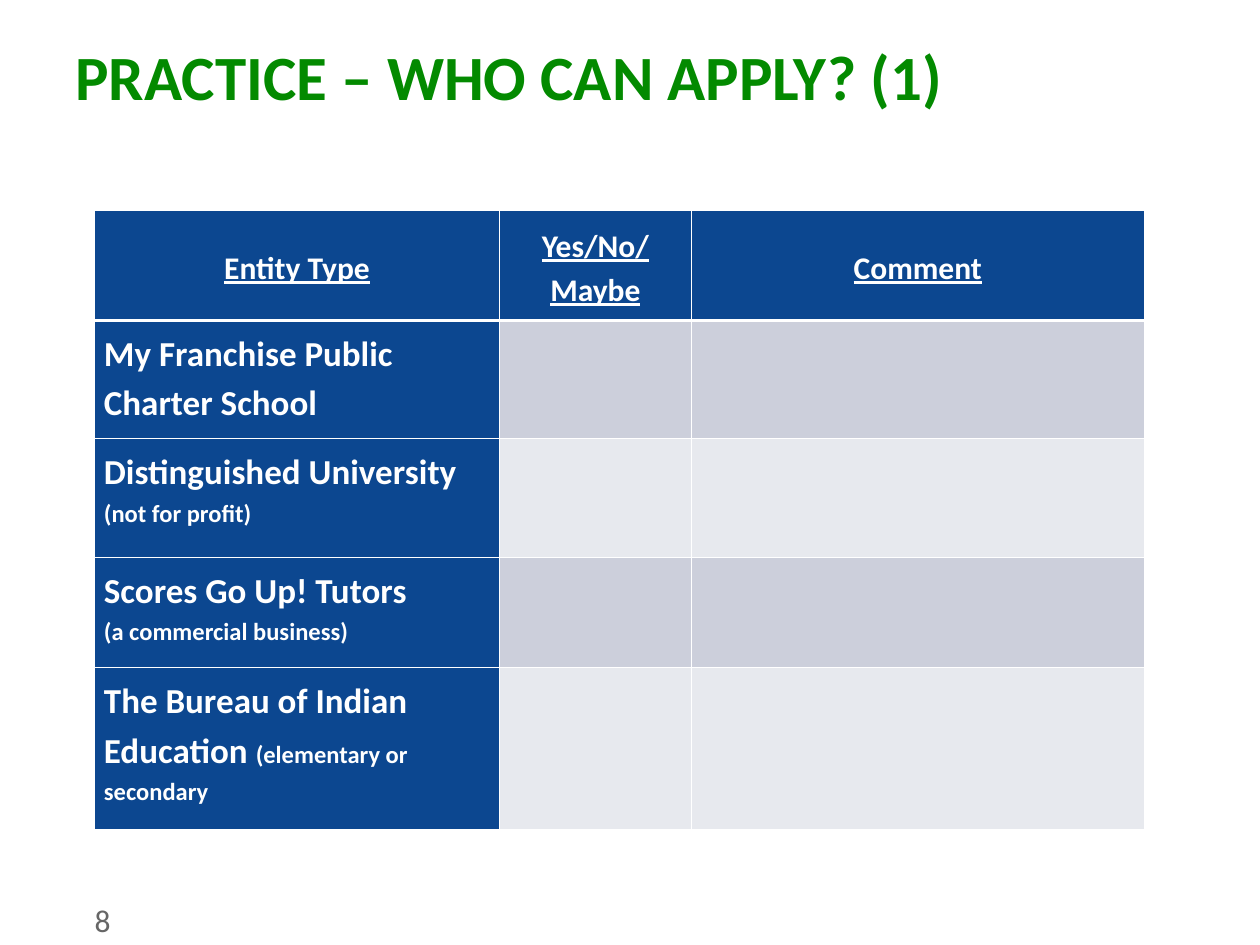
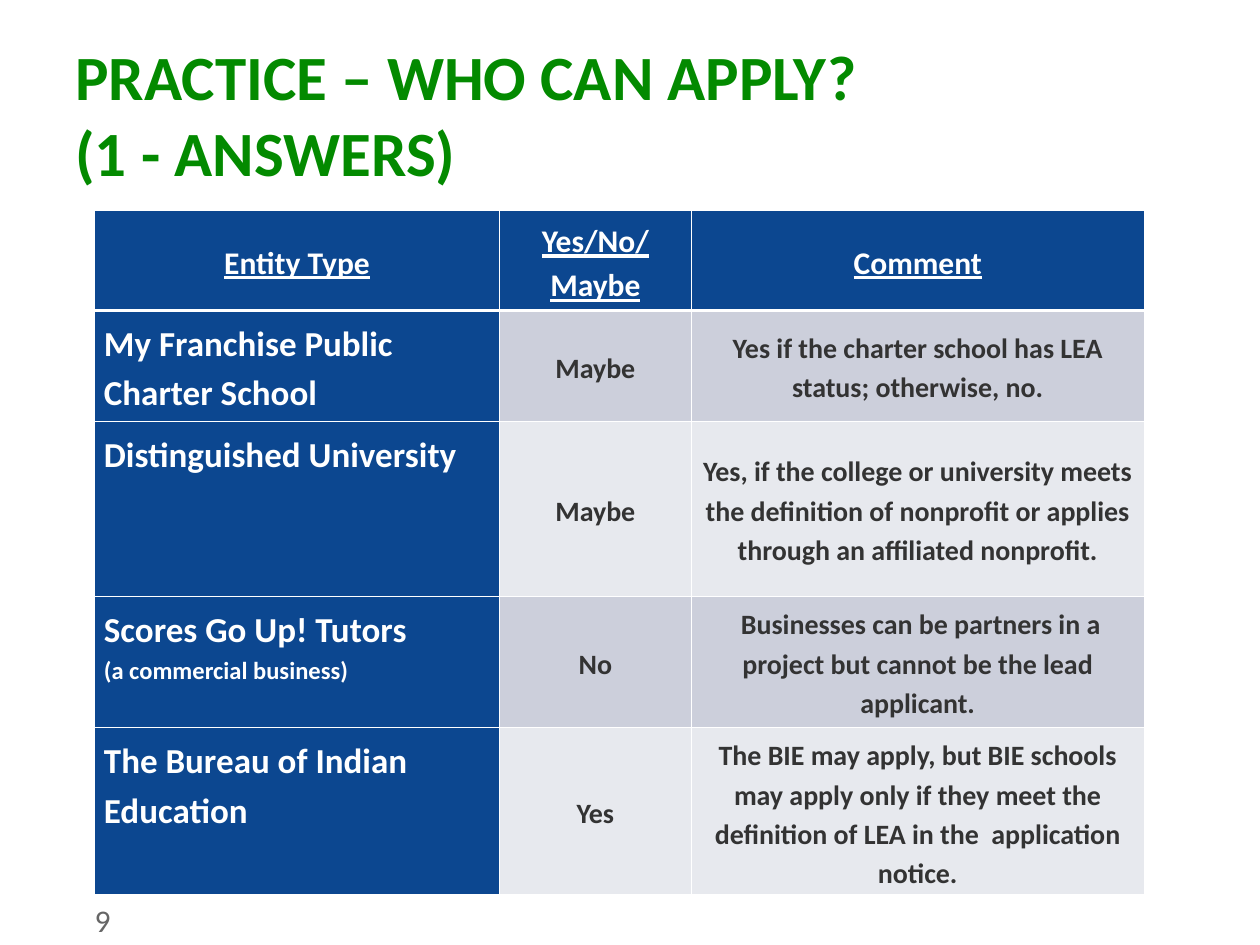
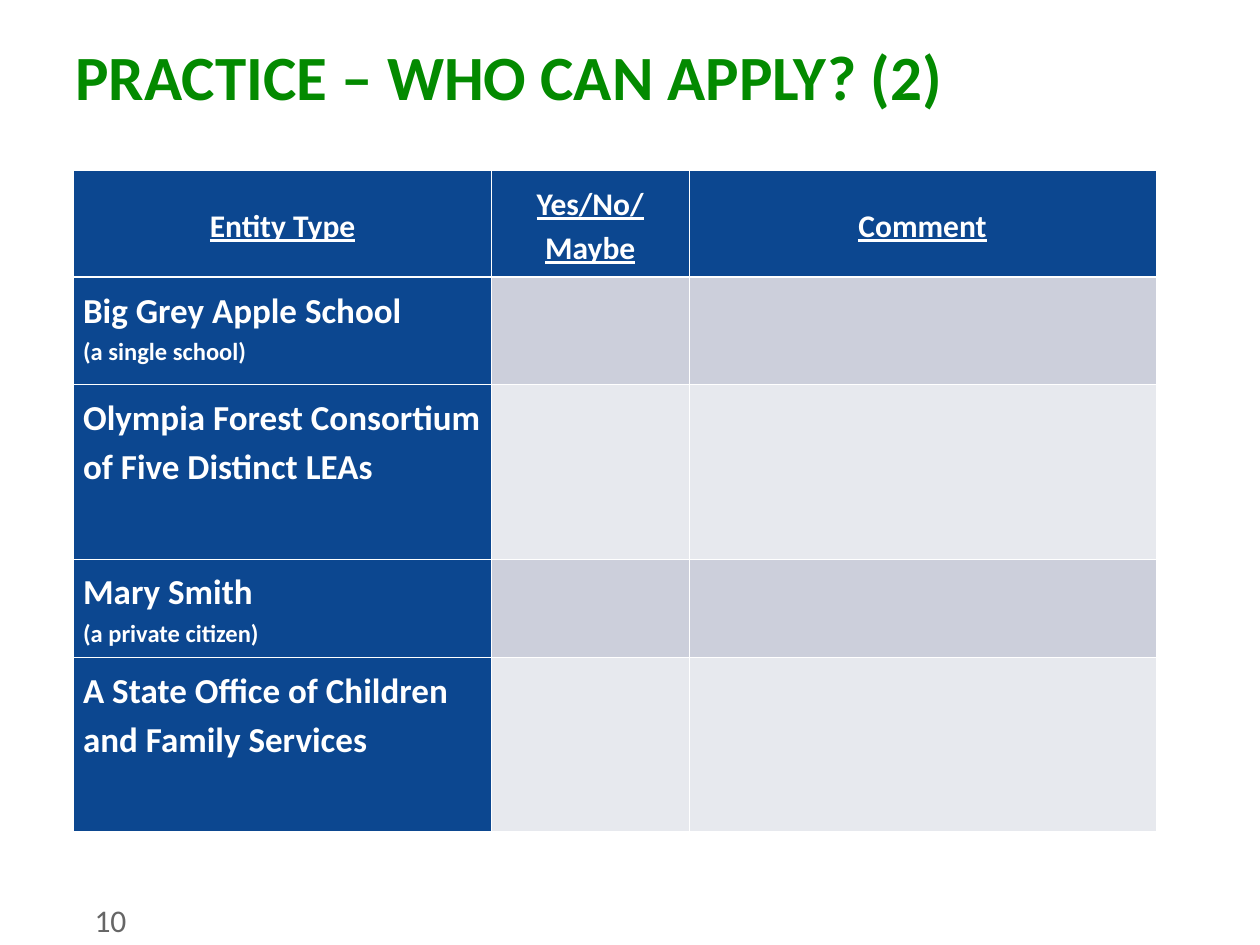
from dataclasses import dataclass
from typing import NamedTuple

from lxml import etree
from pptx import Presentation
from pptx.dml.color import RGBColor
from pptx.enum import text as t
from pptx.oxml import ns
from pptx.util import Pt


@dataclass(frozen=True)
class Theme:
    font: str = "Calibri"
    title_green: str = "038A00"
    header_blue: str = "0C4790"
    band_dark: str = "CCCFDB"
    band_light: str = "E7E9EE"
    white: str = "FFFFFF"
    answer_gray: str = "333333"
    number_gray: str = "666666"
    title_size: float = 36
    entity_size: float = 20
    header_size: float = 18
    answer_size: float = 16
    note_size: float = 14
    thin_border: float = 0.45
    header_border: float = 1.5


THEME = Theme()
TITLE_BOX = (36, 18, 648, 44.64)
NUMBER_BOX = (54, 511.2, 41.76, 28.8)
HEADERS = ("Entity Type", "Yes/No/\nMaybe", "Comment")


class EntityRow(NamedTuple):
    """A table row; a note on its own line follows the name as a new paragraph."""
    height: float
    name: str
    note: str = ""
    note_on_own_line: bool = True
    answer: str = ""
    comment: str = ""


class TableGrid(NamedTuple):
    left: float
    top: float
    column_widths: tuple[float, ...]


class PracticeSlide(NamedTuple):
    number: int
    title: str
    grid: TableGrid
    header_height: float
    rows: tuple[EntityRow, ...]


STANDARD_GRID = TableGrid(54, 120.4, (231.5, 109.5, 259))
WIDE_GRID = TableGrid(42.1, 97.2, (238.8, 112.8, 267))

SLIDES = (
    PracticeSlide(8, "PRACTICE – WHO CAN APPLY? (1)", STANDARD_GRID, 62.8, (
        EntityRow(67.5, "My Franchise Public Charter School"),
        EntityRow(67.8, "Distinguished University ", "(not for profit)", False),
        EntityRow(63.2, "Scores Go Up! Tutors", "(a commercial business)"),
        EntityRow(92.4, "The Bureau of Indian Education ",
                  "(elementary or secondary", False),
    )),
    PracticeSlide(9, "PRACTICE – WHO CAN APPLY? \v(1 - ANSWERS)", STANDARD_GRID, 57, (
        EntityRow(63.4, "My Franchise Public Charter School", answer="Maybe",
                  comment="Yes if the charter school has LEA status; otherwise, no."),
        EntityRow(100.2, "Distinguished University", answer="Maybe",
                  comment="Yes, if the college or university meets the definition of "
                          "nonprofit or applies through an affiliated nonprofit."),
        EntityRow(74.9, "Scores Go Up! Tutors", "(a commercial business)", answer="No",
                  comment=" Businesses can be partners in a project but cannot be "
                          "the lead applicant."),
        EntityRow(90, "The Bureau of Indian Education", answer="Yes",
                  comment="The BIE may apply, but BIE schools may apply only if they "
                          "meet the definition of LEA in the  application notice."),
    )),
    PracticeSlide(10, "PRACTICE – WHO CAN APPLY? (2)", WIDE_GRID, 61.2, (
        EntityRow(61.2, "Big Grey Apple School", "(a single school)"),
        EntityRow(99.8, "Olympia Forest Consortium of Five Distinct LEAs"),
        EntityRow(56.4, "Mary Smith", "(a private citizen)"),
        EntityRow(99.2, "A State Office of Children and Family Services"),
    )),
)


def write_text(frame, text: str, *, size: float, color: str, bold: bool = False,
               underline: bool = False, align=t.PP_ALIGN.LEFT,
               spacing: float = 1.0, new_paragraph: bool = False) -> None:
    """Append text to the frame: newlines split paragraphs, \\v breaks a line."""
    for index, line in enumerate(text.split("\n")):
        if index or new_paragraph:
            paragraph = frame.add_paragraph()
        else:
            paragraph = frame.paragraphs[-1]
        paragraph.alignment = align
        paragraph.line_spacing = spacing
        for part_index, part in enumerate(line.split("\v")):
            if part_index:
                paragraph.add_line_break()
            run = paragraph.add_run()
            run.text = part
            font = run.font
            font.name, font.size = THEME.font, Pt(size)
            font.bold, font.underline = bold, underline
            font.color.rgb = RGBColor.from_string(color)


def add_text_box(slide, box: tuple[float, ...], text: str, *,
                 side_margin: float, **text_format) -> None:
    frame = slide.shapes.add_textbox(*map(Pt, box)).text_frame
    frame.word_wrap = True
    frame.margin_left = frame.margin_right = Pt(side_margin)
    write_text(frame, text, **text_format)


def style_cell(cell, fill: str, row_index: int, centered: bool) -> None:
    """Set borders first, since the cell's fill must follow them in the XML."""
    properties = cell._tc.get_or_add_tcPr()
    heavy_sides = {0: "B", 1: "T"}
    for side in "LRTB":
        heavy = heavy_sides.get(row_index) == side
        width = THEME.header_border if heavy else THEME.thin_border
        line = etree.SubElement(properties, ns.qn(f"a:ln{side}"), w=str(int(Pt(width))))
        solid = etree.SubElement(line, ns.qn("a:solidFill"))
        etree.SubElement(solid, ns.qn("a:srgbClr"), val=THEME.white)
    cell.fill.solid()
    cell.fill.fore_color.rgb = RGBColor.from_string(fill)
    cell.margin_left = cell.margin_right = Pt(5.4)
    cell.margin_top = cell.margin_bottom = Pt(3.6)
    cell.vertical_anchor = t.MSO_ANCHOR.MIDDLE if centered else t.MSO_ANCHOR.TOP


def write_cell(cell, text: str, **text_format) -> None:
    write_text(cell.text_frame, text, bold=True, spacing=1.15, **text_format)


def add_entity_table(slide, practice: PracticeSlide) -> None:
    grid = practice.grid
    heights = [practice.header_height, *(row.height for row in practice.rows)]
    table = slide.shapes.add_table(
        len(heights), len(HEADERS), Pt(grid.left), Pt(grid.top),
        Pt(sum(grid.column_widths)), Pt(sum(heights))).table
    table.horz_banding = False
    for column, width in zip(table.columns, grid.column_widths):
        column.width = Pt(width)
    for table_row, height in zip(table.rows, heights):
        table_row.height = Pt(height)

    for column_index, header in enumerate(HEADERS):
        cell = table.cell(0, column_index)
        style_cell(cell, THEME.header_blue, 0, centered=True)
        write_cell(cell, header, size=THEME.header_size, color=THEME.white,
                   underline=True, align=t.PP_ALIGN.CENTER)

    for row_index, row in enumerate(practice.rows, start=1):
        entity_cell = table.cell(row_index, 0)
        style_cell(entity_cell, THEME.header_blue, row_index, centered=False)
        write_cell(entity_cell, row.name, size=THEME.entity_size, color=THEME.white)
        if row.note:
            write_cell(entity_cell, row.note, size=THEME.note_size, color=THEME.white,
                       new_paragraph=row.note_on_own_line)
        band = THEME.band_dark if row_index % 2 else THEME.band_light
        for column_index, answer in enumerate((row.answer, row.comment), start=1):
            cell = table.cell(row_index, column_index)
            style_cell(cell, band, row_index, centered=True)
            if answer:
                write_cell(cell, answer, size=THEME.answer_size,
                           color=THEME.answer_gray, align=t.PP_ALIGN.CENTER)


def add_practice_slide(presentation, practice: PracticeSlide) -> None:
    slide = presentation.slides.add_slide(presentation.slide_layouts[6])
    add_text_box(slide, TITLE_BOX, practice.title, side_margin=7.2,
                 size=THEME.title_size, color=THEME.title_green, bold=True)
    add_text_box(slide, NUMBER_BOX, str(practice.number), side_margin=0,
                 size=THEME.header_size, color=THEME.number_gray)
    add_entity_table(slide, practice)


def main() -> None:
    presentation = Presentation()
    presentation.slide_width, presentation.slide_height = Pt(720), Pt(540)
    for practice in SLIDES:
        add_practice_slide(presentation, practice)
    presentation.save("out.pptx")


if __name__ == "__main__":
    main()
